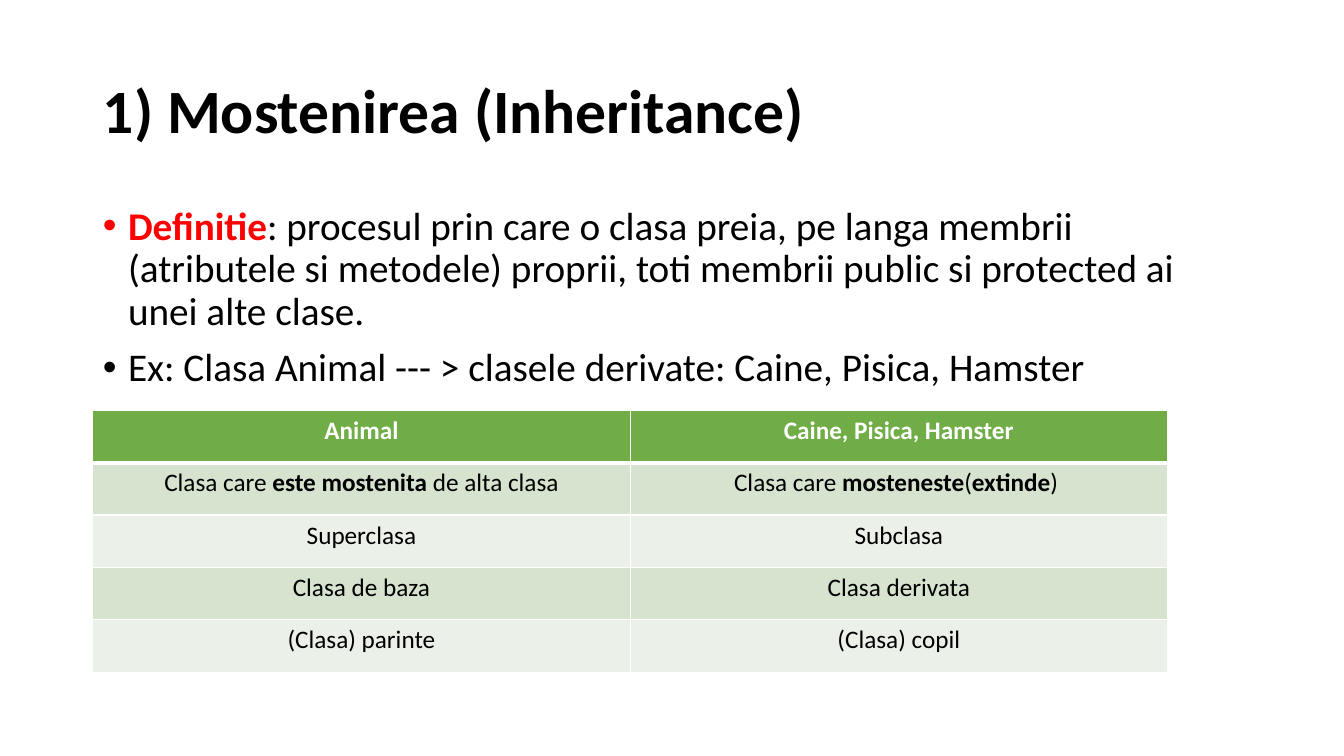
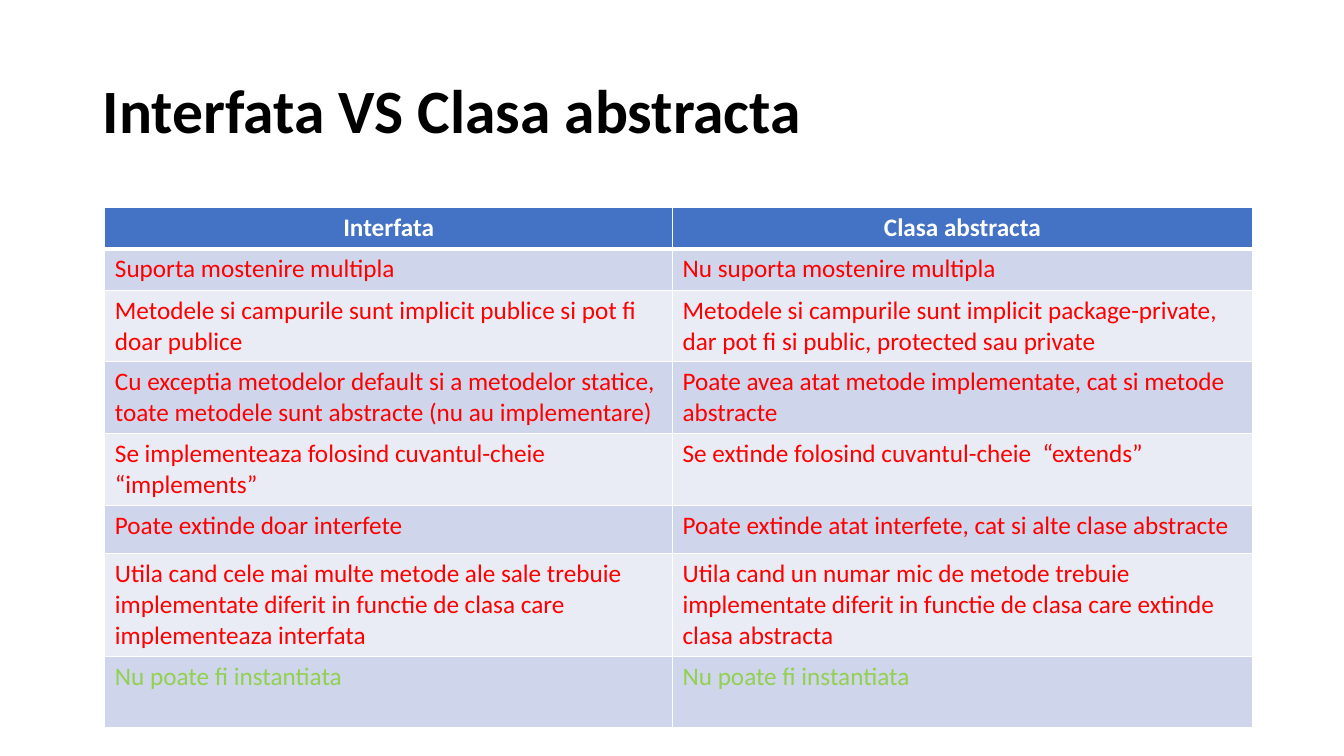
from dataclasses import dataclass

from lxml import etree
from pptx import Presentation
from pptx.dml.color import RGBColor
from pptx.enum.text import MSO_ANCHOR, MSO_AUTO_SIZE, PP_ALIGN
from pptx.oxml.ns import qn
from pptx.util import Inches, Pt

LEFT, CENTER = PP_ALIGN.LEFT, PP_ALIGN.CENTER
MIDDLE, TOP = MSO_ANCHOR.MIDDLE, MSO_ANCHOR.TOP
NO_AUTOFIT = MSO_AUTO_SIZE.NONE
TITLE_AND_CONTENT, TITLE_ONLY = 1, 5


@dataclass(frozen=True)
class Theme:
    """Colours, font and type sizes shared by the slides."""
    font: str = "Calibri"
    title_size: int = 44
    body_size: int = 28
    table_size: int = 18
    black: str = "000000"
    white: str = "FFFFFF"
    red: str = "FF0000"
    lime: str = "92D050"
    green_bands: tuple = ("70AD47", "D5E3CF", "EBF1E9")
    blue_bands: tuple = ("4472C4", "CFD5EA", "E9EBF5")
    rule: float = 1
    header_rule: float = 3


theme = Theme()


def add_run(paragraph, text, size, color, bold=False):
    """Append one formatted run to a paragraph."""
    run = paragraph.add_run()
    run.text = text
    run.font.name = theme.font
    run.font.size = Pt(size)
    run.font.bold = bold
    run.font.color.rgb = RGBColor.from_string(color)


def set_borders(cell, top, bottom):
    """Draw white cell borders with the given top and bottom widths."""
    properties = cell._tc.get_or_add_tcPr()
    widths = {"a:lnL": theme.rule, "a:lnR": theme.rule, "a:lnT": top, "a:lnB": bottom}
    for position, (tag, width) in enumerate(widths.items()):
        line = etree.Element(qn(tag), w=str(Pt(width)))
        fill = etree.SubElement(line, qn("a:solidFill"))
        etree.SubElement(fill, qn("a:srgbClr"), val=theme.white)
        properties.insert(position, line)


presentation = Presentation()
presentation.slide_width = Inches(13.33)
presentation.slide_height = Inches(7.5)

# Titles
slides = []
for layout, title in (
    (TITLE_AND_CONTENT, "1) Mostenirea (Inheritance)"),
    (TITLE_ONLY, "Interfata VS Clasa abstracta"),
):
    slide = presentation.slides.add_slide(presentation.slide_layouts[layout])
    shape = slide.shapes.title
    shape.left, shape.top = Inches(0.92), Inches(0.4)
    shape.width, shape.height = Inches(11.5), Inches(1.45)
    shape.text_frame.auto_size = NO_AUTOFIT
    shape.text_frame.vertical_anchor = MIDDLE
    paragraph = shape.text_frame.paragraphs[0]
    paragraph.alignment = LEFT
    paragraph.line_spacing = 0.9
    add_run(paragraph, title, theme.title_size, theme.black, bold=True)
    slides.append(slide)
inheritance_slide, comparison_slide = slides

# Definition and example
definition = [
    [
        ("Definitie", theme.red, True),
        (": procesul prin care o clasa preia, pe langa membrii (atributele si metodele) "
         "proprii, toti membrii public si protected ai unei alte clase.", theme.black, False),
    ],
    [("Ex: Clasa Animal --- > clasele derivate: Caine, Pisica, Hamster", theme.black, False)],
]
body = inheritance_slide.placeholders[1]
body.left, body.top = Inches(0.92), Inches(2)
body.width, body.height = Inches(11.5), Inches(4.76)
frame = body.text_frame
frame.auto_size = NO_AUTOFIT
frame.vertical_anchor = TOP
for index, runs in enumerate(definition):
    paragraph = frame.add_paragraph() if index else frame.paragraphs[0]
    paragraph.line_spacing = 0.9
    paragraph.space_before = Pt(10)
    properties = paragraph._p.get_or_add_pPr()
    properties.set("marL", str(Inches(0.25)))
    properties.set("indent", str(-Inches(0.25)))
    for text, color, bold in runs:
        add_run(paragraph, text, theme.body_size, color, bold)

# Tables: each cell is a list of pieces, alternating plain and bold
inheritance_rows = [
    (["Animal"], ["Caine, Pisica, Hamster"]),
    (["Clasa care ", "este mostenita ", "de alta clasa"],
     ["Clasa care ", "mosteneste", "(", "extinde", ") "]),
    (["Superclasa"], ["Subclasa"]),
    (["Clasa de baza"], ["Clasa derivata"]),
    (["(Clasa) parinte"], ["(Clasa) copil"]),
]
comparison_rows = [
    (["Interfata"], ["Clasa abstracta"]),
    (["Suporta mostenire multipla"], ["Nu suporta mostenire multipla"]),
    (["Metodele si campurile sunt implicit publice si pot fi doar publice"],
     ["Metodele si campurile sunt implicit package-private, "
      "dar pot fi si public, protected sau private"]),
    (["Cu exceptia metodelor default si a metodelor statice, "
      "toate metodele sunt abstracte (nu au implementare)"],
     ["Poate avea atat metode implementate, cat si metode abstracte"]),
    (["Se implementeaza folosind cuvantul-cheie “implements”"],
     ["Se extinde folosind cuvantul-cheie  “extends”"]),
    (["Poate extinde doar interfete"],
     ["Poate extinde atat interfete, cat si alte clase abstracte"]),
    (["Utila cand cele mai multe metode ale sale trebuie implementate diferit "
      "in functie de clasa care implementeaza interfata"],
     ["Utila cand un numar mic de metode trebuie implementate diferit "
      "in functie de clasa care extinde clasa abstracta"]),
    (["Nu poate fi instantiata"], ["Nu poate fi instantiata"]),
]
comparison_heights = [0.41, 0.41, 0.71, 0.71, 0.71, 0.48, 1.02, 0.71]
comparison_colors = [theme.white] + [theme.red] * 6 + [theme.lime]

for slide, rows, left, top, widths, heights, bands, colors, alignment in (
    (inheritance_slide, inheritance_rows, 0.92, 4.07, (5.33, 5.33), [0.52] * 5,
     theme.green_bands, [theme.white] + [theme.black] * 4, CENTER),
    (comparison_slide, comparison_rows, 1.04, 2.06, (5.63, 5.75), comparison_heights,
     theme.blue_bands, comparison_colors, LEFT),
):
    table = slide.shapes.add_table(
        len(rows), len(widths), Inches(left), Inches(top),
        Inches(sum(widths)), Inches(sum(heights))).table
    for column, width in zip(table.columns, widths):
        column.width = Inches(width)
    for row_index, (row, height) in enumerate(zip(rows, heights)):
        is_header = row_index == 0
        table.rows[row_index].height = Inches(height)
        band = bands[0] if is_header else bands[2 - row_index % 2]
        for column_index, pieces in enumerate(row):
            cell = table.cell(row_index, column_index)
            cell.fill.solid()
            cell.fill.fore_color.rgb = RGBColor.from_string(band)
            set_borders(
                cell,
                top=theme.header_rule if row_index == 1 else theme.rule,
                bottom=theme.header_rule if is_header else theme.rule)
            paragraph = cell.text_frame.paragraphs[0]
            paragraph.alignment = CENTER if is_header else alignment
            for piece_index, text in enumerate(pieces):
                add_run(paragraph, text, theme.table_size, colors[row_index],
                        bold=is_header or piece_index % 2 == 1)

presentation.save("out.pptx")
